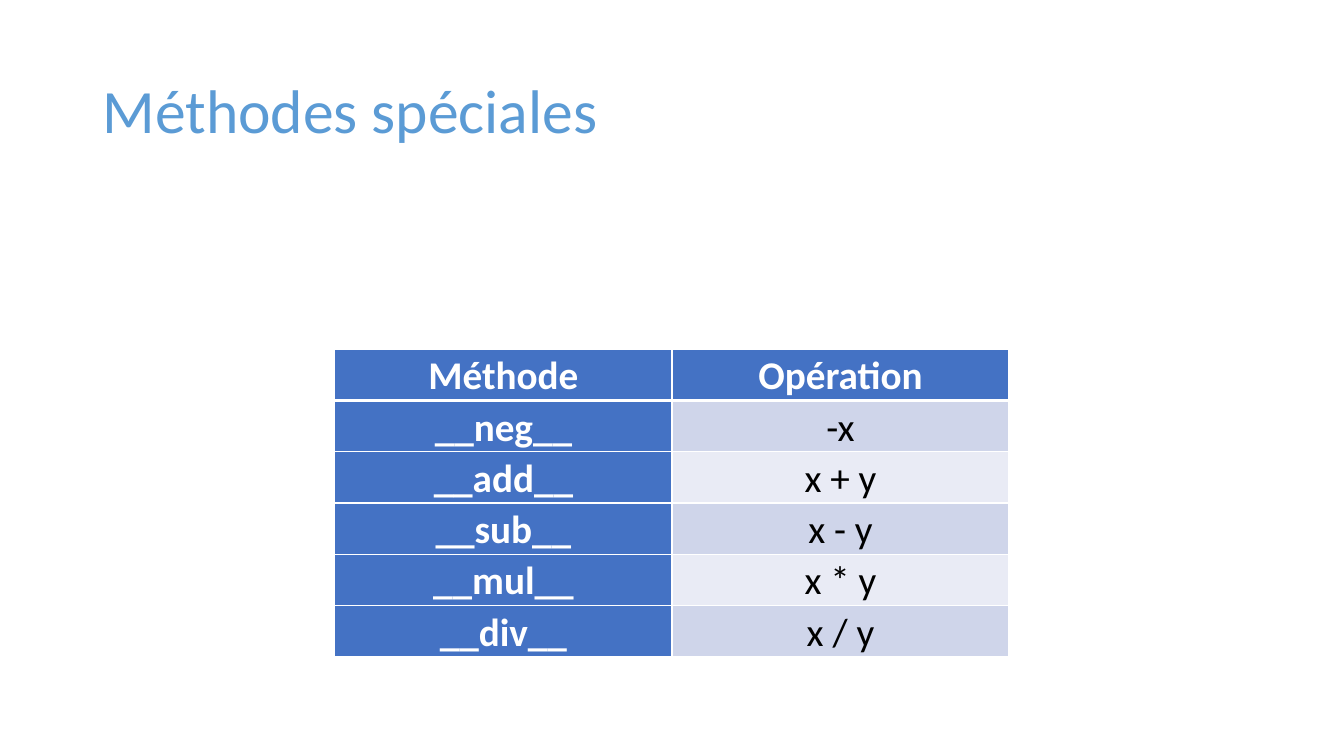
from dataclasses import dataclass

from lxml import etree
from pptx import Presentation
from pptx.dml.color import RGBColor
from pptx.enum import text
from pptx.oxml import ns
from pptx.util import Pt


@dataclass(frozen=True)
class Theme:
    """Hold the colours, font and type sizes of the slide."""
    font: str = "Calibri"
    title_size: int = 44
    cell_size: int = 28
    title: str = "5B9BD5"
    header: str = "4472C4"
    bands: tuple = ("CFD5EA", "E9EBF5")
    light: str = "FFFFFF"
    dark: str = "000000"


THEME = Theme()
METHODS = [
    ("Méthode", "Opération"),
    ("__neg__", "-x"),
    ("__add__", "x + y"),
    ("__sub__", "x - y"),
    ("__mul__", "x * y"),
    ("__div__", "x / y"),
]


def format_runs(paragraph, size, colour, bold=False):
    """Apply the theme font, a size, a colour and a weight."""
    for run in paragraph.runs:
        run.font.name = THEME.font
        run.font.size = Pt(size)
        run.font.bold = bold
        run.font.color.rgb = RGBColor.from_string(colour)


def add_title(slide, wording):
    """Fill and place the title placeholder."""
    title = slide.shapes.title
    title.left, title.top, title.width, title.height = Pt(66), Pt(28.75), Pt(828), Pt(104.4)
    frame = title.text_frame
    frame.text = wording
    frame.auto_size = text.MSO_AUTO_SIZE.NONE
    frame.vertical_anchor = text.MSO_ANCHOR.MIDDLE
    paragraph = frame.paragraphs[0]
    paragraph.alignment = text.PP_ALIGN.LEFT
    paragraph.line_spacing = 0.9
    format_runs(paragraph, THEME.title_size, THEME.title)


def set_borders(cell, top, bottom):
    """Draw the light borders of a cell."""
    properties = cell._tc.get_or_add_tcPr()
    for side, width in (("L", 1), ("R", 1), ("T", top), ("B", bottom)):
        line = etree.SubElement(properties, ns.qn(f"a:ln{side}"), w=str(Pt(width)))
        fill = etree.SubElement(line, ns.qn("a:solidFill"))
        etree.SubElement(fill, ns.qn("a:srgbClr"), val=THEME.light)


def fill_cell(cell, wording, row, column):
    """Write a cell and style it by its place in the table."""
    heading = row == 0 or column == 0
    cell.text_frame.text = wording
    cell.vertical_anchor = text.MSO_ANCHOR.MIDDLE
    cell.margin_left = cell.margin_right = Pt(5.4)
    cell.margin_top = cell.margin_bottom = Pt(0)
    set_borders(cell, top=3 if row == 1 else 1, bottom=3 if row == 0 else 1)
    cell.fill.solid()
    colour = THEME.header if heading else THEME.bands[(row - 1) % 2]
    cell.fill.fore_color.rgb = RGBColor.from_string(colour)
    paragraph = cell.text_frame.paragraphs[0]
    paragraph.alignment = text.PP_ALIGN.CENTER
    paragraph.line_spacing = 1.07
    format_runs(paragraph, THEME.cell_size, THEME.light if heading else THEME.dark, heading)


def add_method_table(slide, rows):
    """Add the table of special methods and their operations."""
    row_height = Pt(36.5)
    frame = slide.shapes.add_table(
        len(rows), len(rows[0]), Pt(239.2), Pt(249.4), Pt(481.6), row_height * len(rows))
    table = frame.table
    table.first_col = True
    for row, wordings in enumerate(rows):
        table.rows[row].height = row_height
        for column, wording in enumerate(wordings):
            fill_cell(table.cell(row, column), wording, row, column)


def main():
    """Build and save the slide."""
    presentation = Presentation()
    presentation.slide_width, presentation.slide_height = Pt(960), Pt(540)
    slide = presentation.slides.add_slide(presentation.slide_layouts.get_by_name("Title Only"))
    add_title(slide, "Méthodes spéciales")
    add_method_table(slide, METHODS)
    presentation.save("out.pptx")


if __name__ == "__main__":
    main()
